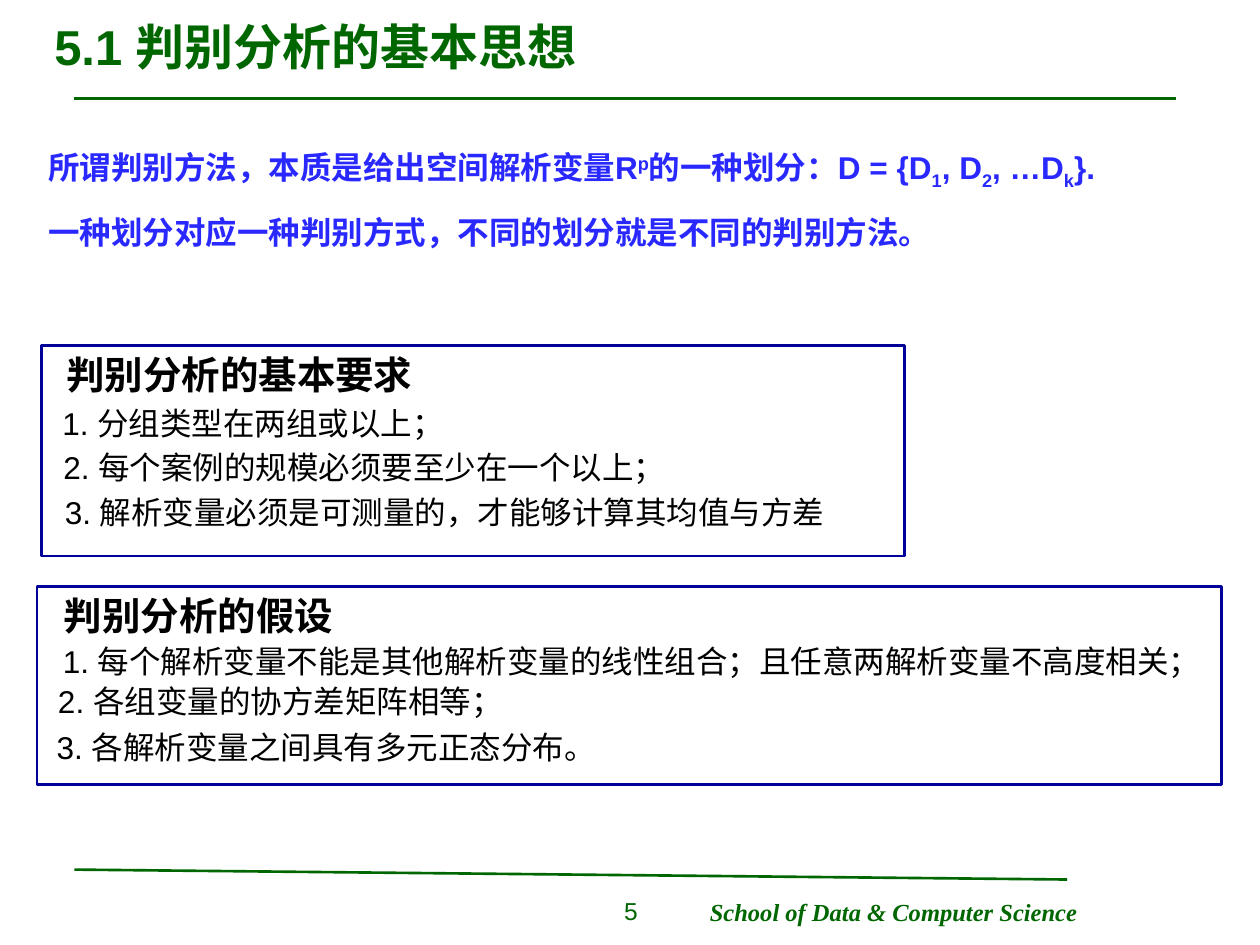
from pptx import Presentation
from pptx.dml.color import RGBColor
from pptx.enum.shapes import MSO_CONNECTOR, MSO_SHAPE
from pptx.enum.text import MSO_ANCHOR, MSO_AUTO_SIZE, PP_ALIGN
from pptx.oxml.ns import qn
from pptx.util import Cm, Pt
from lxml.etree import SubElement

THEME = {
    "green": RGBColor(0x00, 0x66, 0x00),
    "blue": RGBColor(0x29, 0x29, 0xFF),
    "navy": RGBColor(0x00, 0x00, 0x99),
    "black": RGBColor(0x00, 0x00, 0x00),
    "font": "Arial", "footer_font": "Times New Roman",
    "title": 28, "heading": 22, "body": 18, "footer": 14,
    "line": 1.5,
}

# Content; boxes are (left, top, width, height) in cm
TITLE = "5.1 判别分析的基本思想"
PAGE_NUMBER = "5"
SCHOOL = "School of Data & Computer Science"
RULES = [(1.5, 1.98, 23.7, 1.98), (1.5, 17.53, 21.51, 17.73)]

# Each intro line is a list of (text, baseline shift in percent)
INTRO = [
    ((0.72, 2.86, 22.07, 1.12), [
        ("所谓判别方法，本质是给出空间解析变量R", 0), ("p", 30),
        ("的一种划分：D = {D", 0), ("1", -25), (", D", 0), ("2", -25),
        (", …D", 0), ("k", -25), ("}.", 0)]),
    ((0.72, 4.17, 18.29, 1.02),
     [("一种划分对应一种判别方式，不同的划分就是不同的判别方法。", 0)]),
]

# Heading is (left, width, text); each item is (left, top, width, text)
PANELS = [
    {"frame": (0.84, 6.96, 17.4, 4.25),
     "heading": (1.09, 7.6, "判别分析的基本要求"),
     "items": [
         (1.01, 8.03, 8.4, "分组类型在两组或以上；"),
         (1.03, 8.9, 12.85, "每个案例的规模必须要至少在一个以上；"),
         (1.06, 9.81, 16, "解析变量必须是可测量的，才能够计算其均值与方差")]},
    {"frame": (0.75, 11.82, 23.87, 4),
     "heading": (1.04, 6.05, "判别分析的假设"),
     "items": [
         (1.02, 12.82, 23.6,
          "每个解析变量不能是其他解析变量的线性组合；且任意两解析变量不高度相关；"),
         (0.92, 13.62, 9.65, "各组变量的协方差矩阵相等；"),
         (0.89, 14.55, 11.55, "各解析变量之间具有多元正态分布。")]},
]
HEADING_HEIGHT, ITEM_HEIGHT = 1.19, 1.02


def to_cm(values):
    return [Cm(value) for value in values]


def add_runs(paragraph, runs, size, color, bold=False, italic=False, font="font"):
    for text, shift in runs:
        run = paragraph.add_run()
        run.text = text
        run.font.name = THEME[font]
        run.font.size = Pt(THEME[size])
        run.font.color.rgb = THEME[color]
        run.font.bold, run.font.italic = bold, italic
        if shift:
            run._r.get_or_add_rPr().set("baseline", str(shift * 1000))


def add_label(shapes, box, runs, size, color, align=PP_ALIGN.LEFT, wrap=False, **style):
    frame = shapes.add_textbox(*to_cm(box)).text_frame
    frame.word_wrap = wrap
    frame.auto_size = MSO_AUTO_SIZE.NONE if wrap else MSO_AUTO_SIZE.SHAPE_TO_FIT_TEXT
    frame.paragraphs[0].alignment = align
    add_runs(frame.paragraphs[0], runs, size, color, **style)


def add_rule(shapes, ends):
    rule = shapes.add_connector(MSO_CONNECTOR.STRAIGHT, *to_cm(ends))
    rule.line.color.rgb = THEME["green"]
    rule.line.width = Pt(THEME["line"])
    SubElement(rule._element.spPr, qn("a:effectLst"))


def add_panel(shapes, panel):
    group = shapes.add_group_shape().shapes
    left, width, heading = panel["heading"]
    add_label(group, (left, panel["frame"][1], width, HEADING_HEIGHT),
              [(heading, 0)], "heading", "black", bold=True)
    for number, (left, top, width, text) in enumerate(panel["items"], 1):
        add_label(group, (left, top, width, ITEM_HEIGHT),
                  [(f"{number}. {text}", 0)], "body", "black")
    border = group.add_shape(MSO_SHAPE.RECTANGLE, *to_cm(panel["frame"]))
    border.shadow.inherit = False
    border.fill.background()
    border.line.color.rgb = THEME["navy"]
    border.line.width = Pt(THEME["line"])


def main():
    deck = Presentation()
    deck.slide_width, deck.slide_height = Cm(25.4), Cm(19.05)
    slide = deck.slides.add_slide(deck.slide_layouts[5])
    shapes = slide.shapes

    # Title
    title = shapes.title
    title.left, title.top, title.width, title.height = to_cm((0.84, 0.07, 23.72, 1.72))
    title.text_frame.vertical_anchor = MSO_ANCHOR.MIDDLE
    title.text_frame.auto_size = MSO_AUTO_SIZE.NONE
    title.text_frame.paragraphs[0].alignment = PP_ALIGN.LEFT
    add_runs(title.text_frame.paragraphs[0], [(TITLE, 0)], "title", "green", bold=True)

    # Rules and footer
    for ends in RULES:
        add_rule(shapes, ends)
    add_label(shapes, (14.06, 17.96, 7.92, 0.86), [(SCHOOL, 0)], "footer", "green",
              bold=True, italic=True, font="footer_font")
    add_label(shapes, (10.52, 17.93, 2.59, 0.91), [(PAGE_NUMBER, 0)], "footer", "green",
              align=PP_ALIGN.RIGHT, wrap=True)

    # Framed panels, then the introduction
    for panel in PANELS:
        add_panel(shapes, panel)
    for box, runs in INTRO:
        add_label(shapes, box, runs, "body", "blue", bold=True)

    deck.save("out.pptx")


if __name__ == "__main__":
    main()
